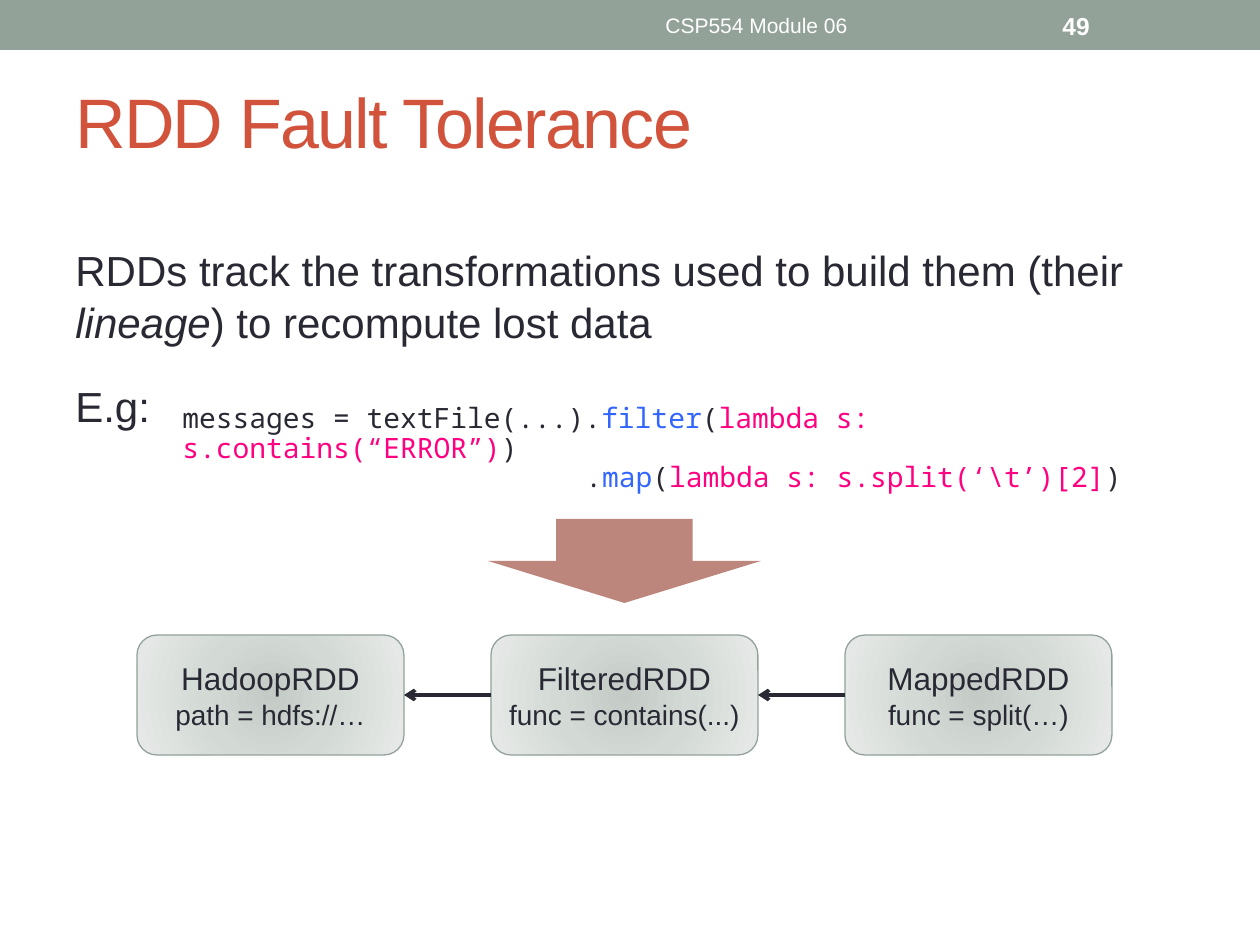
from pptx import Presentation
from pptx.dml.color import RGBColor as RGB
from pptx.enum.shapes import MSO_CONNECTOR as Conn, MSO_SHAPE as Geo
from pptx.enum.text import MSO_ANCHOR as Anchor, PP_ALIGN as Align
from pptx.oxml import parse_xml
from pptx.oxml.ns import nsdecls, qn
from pptx.util import Pt
from lxml.etree import SubElement

SAGE = RGB(0x93, 0xA2, 0x99)
ROSE = RGB(0xBD, 0x86, 0x7C)
RUST = RGB(0xD2, 0x53, 0x3C)
INK = RGB(0x29, 0x29, 0x34)
BLUE = RGB(0x33, 0x66, 0xFF)
PINK = RGB(0xFF, 0x00, 0x80)
WHITE = RGB(0xFF, 0xFF, 0xFF)
STOPS = ((0, "C4CAC6"), (45, "D3DAD6"), (100, "E7EAE8"))
SANS, MONO = "Arial", "Noto Sans Mono"


def emu(px):
    return round(px * 914400 / 126)


class Page:
    def __init__(self, deck):
        self.slide = deck.slides.add_slide(deck.slide_layouts[6])
        self.shapes = self.slide.shapes

    def style(self, run, size, color=INK, font=SANS, bold=None, italic=None):
        face = run.font
        face.size, face.name = Pt(size), font
        face.bold, face.italic = bold, italic
        face.color.rgb = color

    def text(self, box, anchor=Anchor.TOP):
        area = self.shapes.add_textbox(*map(emu, box)).text_frame
        area.word_wrap = True
        area.vertical_anchor = anchor
        return area

    def label(self, box, words, size, color, bold=None, align=Align.LEFT):
        area = self.text(box, Anchor.MIDDLE)
        area.text = words
        line = area.paragraphs[0]
        line.alignment = align
        self.style(line.runs[0], size, color, bold=bold)
        return line.runs[0]

    def prose(self, box, lines, size, font, pitch, gap=0):
        """Each line is a list of (words, run format) pairs."""
        area = self.text(box)
        for i, parts in enumerate(lines):
            line = area.add_paragraph() if i else area.paragraphs[0]
            line.line_spacing = pitch
            line.space_before = Pt(gap)
            for words, look in parts:
                run = line.add_run()
                run.text = words
                self.style(run, size, font=font, **look)
        return area

    def shape(self, geo, box, fill=None):
        item = self.shapes.add_shape(geo, *map(emu, box))
        item.shadow.inherit = False
        item.line.fill.background()
        if fill:
            item.fill.solid()
            item.fill.fore_color.rgb = fill
        return item

    def node(self, box, name, note):
        item = self.shape(Geo.ROUNDED_RECTANGLE, box)
        item.line.color.rgb, item.line.width = SAGE, Pt(0.75)
        # Radial fill
        item.fill.gradient()
        stops = "".join(f'<a:gs pos="{at * 1000}"><a:srgbClr val="{tint}"/></a:gs>'
                        for at, tint in STOPS)
        props = item.element.spPr
        props.replace(props.find(qn("a:gradFill")), parse_xml(
            f'<a:gradFill {nsdecls("a")} rotWithShape="1"><a:gsLst>{stops}</a:gsLst>'
            '<a:path path="circle"><a:fillToRect l="100000" t="100000" '
            'r="100000" b="100000"/></a:path></a:gradFill>'))
        # Name and note
        area = item.text_frame
        area.margin_left = area.margin_right = 0
        area.vertical_anchor = Anchor.MIDDLE
        area.text = f"{name}\n{note}"
        for line, size in zip(area.paragraphs, (18, 16)):
            line.alignment = Align.CENTER
            self.style(line.runs[0], size)
        return item

    def link(self, start, end):
        wire = self.shapes.add_connector(Conn.STRAIGHT, 0, 0, 0, 0)
        wire.begin_connect(start, 1)
        wire.end_connect(end, 3)
        wire.line.color.rgb, wire.line.width = INK, Pt(2.08)
        SubElement(wire.line._get_or_add_ln(), qn("a:tailEnd"), type="arrow")
        SubElement(wire.element.spPr, qn("a:effectLst"))


def main():
    deck = Presentation()
    deck.slide_width, deck.slide_height = emu(1260), emu(945)
    page = Page(deck)

    # Header bar
    page.shape(Geo.RECTANGLE, (0, 0, 1260, 50), SAGE)
    page.label((473, 3, 567, 45), "CSP554 Module 06", 12, WHITE, align=Align.CENTER)
    page.label((1050, 3, 147, 45), "49", 14, WHITE, bold=True)

    # Title and body
    title = page.label((63, 42, 1134, 157), "RDD Fault Tolerance", 40, RUST)
    title.font._element.set("spc", "-100")
    page.prose((63, 236, 1144, 573), [
        [("RDDs track the transformations used to build them (their ", {}),
         ("lineage", {"italic": True}),
         (") to recompute lost data", {})],
        [("E.g:", {})],
    ], 24, SANS, 1.04, 18)

    # Code, with the second call indented
    blue, pink = {"color": BLUE}, {"color": PINK}
    code = page.prose((170, 399, 1043, 115), [
        [("messages = textFile(...).", {}), ("filter", blue), ("(", {}),
         ("lambda s: s.contains(“ERROR”)", pink), (")", {})],
        [(".", {}), ("map", blue), ("(", {}),
         (r"lambda s: s.split(‘\t’)[2]", pink), (")", {})],
    ], 16, MONO, 0.88)
    code.paragraphs[1]._p.get_or_add_pPr().set("marL", str(emu(403)))

    # Lineage chain
    page.shape(Geo.DOWN_ARROW, (488, 519, 273, 84), ROSE)
    steps = (("HadoopRDD", "path = hdfs://…"),
             ("FilteredRDD", "func = contains(...)"),
             ("MappedRDD", "func = split(…)"))
    nodes = [page.node((137 + 354 * i, 635, 267, 120), *step)
             for i, step in enumerate(steps)]
    for parent, child in zip(nodes, nodes[1:]):
        page.link(child, parent)

    deck.save("out.pptx")


if __name__ == "__main__":
    main()
